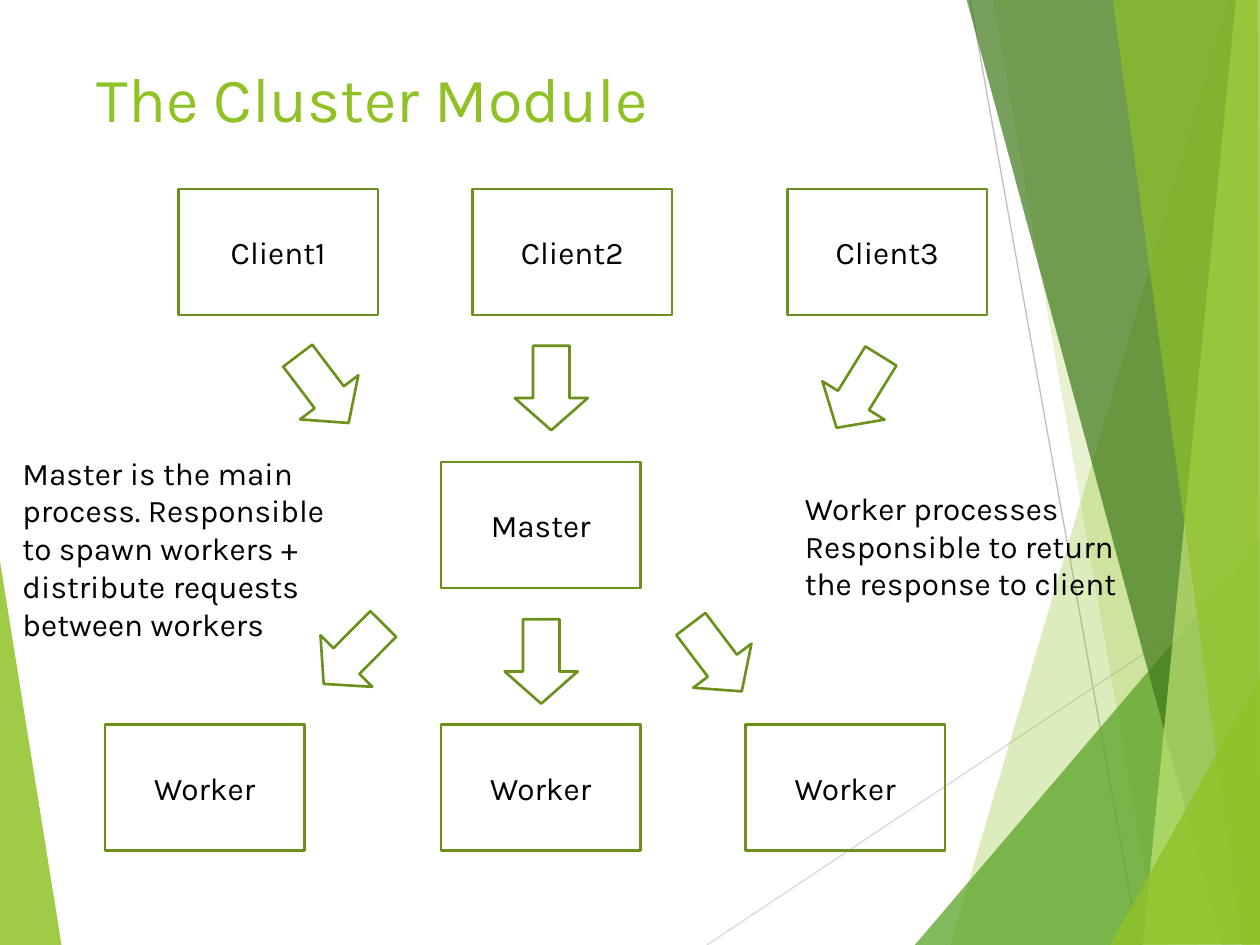
from dataclasses import dataclass

from lxml import etree
from pptx import Presentation
from pptx import util as u
from pptx.dml.color import RGBColor
from pptx.enum import shapes, text
from pptx.oxml.ns import qn


@dataclass(frozen=True)
class Theme:
    font: str = "Karla"
    title_size: int = 36
    body_size: int = 18
    lime: str = "90C226"
    green: str = "54A021"
    forest: str = "3F7819"
    pale: str = "C0E474"
    outline: str = "6B901C"
    ink: str = "000000"
    outline_width: float = 1.5
    ray_width: float = 0.75


THEME = Theme()
CELL = u.Inches(1) // 12
HUNDREDTH = u.Inches(1) // 100
BOX_COLS, BOX_ROWS = 19, 12

LEFT_FACET = ([(-1, 439), (49, 751), (-1, 750)], THEME.lime, 85)
RIGHT_FACETS = [
    ([(975, 0), (754, 750), (1002, 751), (1001, 1)], THEME.lime, 30),
    ([(788, -1), (919, 750), (1001, 750), (1001, -1)], THEME.lime, 20),
    ([(726, 750), (1000, 429), (1001, 750)], THEME.green, 72),
    ([(767, -1), (970, 750), (1001, 749), (1001, -1)], THEME.forest, 70),
    ([(981, -1), (907, 750), (1001, 750), (1000, -1)], THEME.pale, 70),
    ([(883, -1), (986, 750), (1000, 750), (998, -1)], THEME.lime, 65),
    ([(881, 750), (1001, 535), (1001, 749)], THEME.lime, 80),
]
RAYS = [((5.61, 7.5), (10.01, 4.57), "D9D9D9"), ((7.7, 0), (9.04, 7.5), "BFBFBF")]
PROCESSES = [
    ("Client1", 17, 18), ("Client2", 45, 18), ("Client3", 75, 18),
    ("Master", 42, 44),
    ("Worker", 10, 69), ("Worker", 42, 69), ("Worker", 71, 69),
]
REQUESTS = [
    (2.23, 2.8, 52.9), (4.04, 2.79, 90), (6.48, 2.82, 121.7),
    (2.47, 4.9, 134.8), (5.35, 4.93, 52.9), (3.96, 4.96, 90),
]
NOTES = [
    ("Master is the main process. Responsible to spawn workers + "
     "distribute requests between workers", (0.08, 3.55, 2.62, 1.62)),
    ("Worker processes Responsible to return the response to client",
     (6.29, 3.83, 2.96, 1.01)),
]


def rgb(colour):
    return RGBColor.from_string(colour)


def style_text(frame, wording, size, colour):
    frame.word_wrap = True
    frame.text = wording
    font = frame.paragraphs[0].runs[0].font
    font.name, font.size = THEME.font, u.Pt(size)
    font.color.rgb = rgb(colour)


def add_facet(slide, points, colour, opacity):
    builder = slide.shapes.build_freeform(*points[0], scale=HUNDREDTH)
    builder.add_line_segments(points[1:], close=True)
    facet = builder.convert_to_shape()
    facet.shadow.inherit = False
    facet.line.fill.background()
    facet.fill.solid()
    facet.fill.fore_color.rgb = rgb(colour)
    tint = facet.fill._xPr.find(qn("a:solidFill"))[0]
    etree.SubElement(tint, qn("a:alpha"), val=str(opacity * 1000))


def add_ray(slide, start, end, colour):
    ends = [u.Inches(value) for value in start + end]
    ray = slide.shapes.add_connector(shapes.MSO_CONNECTOR.STRAIGHT, *ends)
    ray.line.color.rgb = rgb(colour)
    ray.line.width = u.Pt(THEME.ray_width)
    etree.SubElement(ray._element.spPr, qn("a:effectLst"))


def add_outlined(slide, kind, *bounds):
    outlined = slide.shapes.add_shape(kind, *bounds)
    outlined.shadow.inherit = False
    outlined.fill.background()
    outlined.line.color.rgb = rgb(THEME.outline)
    outlined.line.width = u.Pt(THEME.outline_width)
    return outlined


def add_process(slide, label, column, row):
    bounds = [CELL * count for count in (column, row, BOX_COLS, BOX_ROWS)]
    process = add_outlined(slide, shapes.MSO_SHAPE.RECTANGLE, *bounds)
    frame = process.text_frame
    style_text(frame, label, THEME.body_size, THEME.ink)
    frame.vertical_anchor = text.MSO_ANCHOR.MIDDLE
    frame.paragraphs[0].alignment = text.PP_ALIGN.CENTER


def add_request(slide, left, top, angle):
    bounds = [u.Inches(value) for value in (left, top, 0.67, 0.58)]
    request = add_outlined(slide, shapes.MSO_SHAPE.RIGHT_ARROW, *bounds)
    request.adjustments[0], request.adjustments[1] = 0.5, 0.44
    request.rotation = angle


def add_note(slide, wording, bounds, size, colour):
    note = slide.shapes.add_textbox(*[u.Inches(value) for value in bounds])
    style_text(note.text_frame, wording, size, colour)


def main():
    deck = Presentation()
    deck.slide_width, deck.slide_height = u.Inches(10), u.Inches(7.5)
    slide = deck.slides.add_slide(deck.slide_layouts[6])

    add_facet(slide, *LEFT_FACET)
    for ray in RAYS:
        add_ray(slide, *ray)
    for facet in RIGHT_FACETS:
        add_facet(slide, *facet)
    add_note(slide, "The Cluster Module", (0.67, 0.42, 6.94, 1.44),
             THEME.title_size, THEME.lime)
    for process in PROCESSES:
        add_process(slide, *process)
    for wording, bounds in NOTES:
        add_note(slide, wording, bounds, THEME.body_size, THEME.ink)
    for request in REQUESTS:
        add_request(slide, *request)

    deck.save("out.pptx")


if __name__ == "__main__":
    main()
